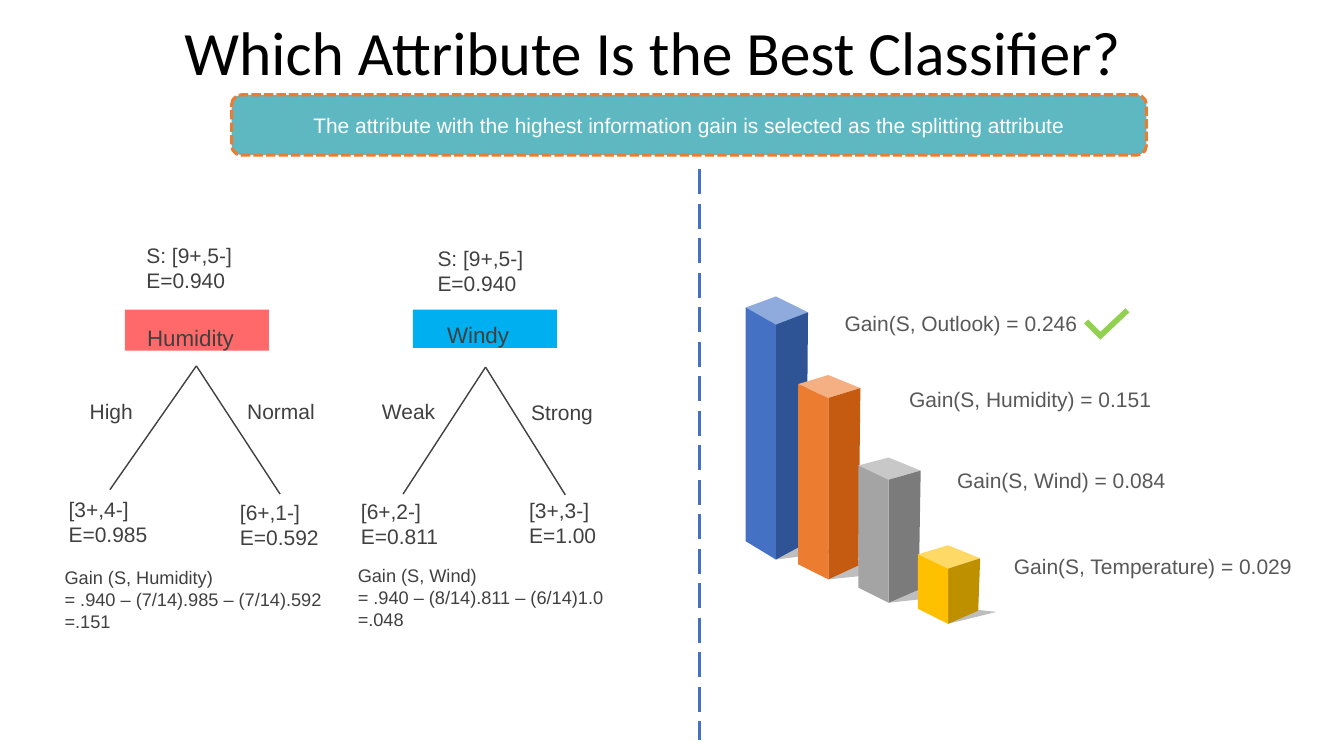
from lxml import etree
from pptx import Presentation
from pptx import util as u
from pptx.dml.color import RGBColor
from pptx.enum import dml, shapes, text
from pptx.oxml.ns import qn

BLACK = RGBColor(0, 0, 0)
WHITE = RGBColor(255, 255, 255)
INK = RGBColor(0x40, 0x40, 0x40)
GRAY = RGBColor(0x58, 0x58, 0x58)
BLUE = RGBColor(0x44, 0x71, 0xC4)
ORANGE = RGBColor(0xEC, 0x7C, 0x30)
TEAL = RGBColor(0x5E, 0xB8, 0xC2)
GREEN = RGBColor(0x92, 0xD0, 0x50)
SHADOW = RGBColor(0xBE, 0xBE, 0xBE)
RED = RGBColor(0xFF, 0x69, 0x69)
SKY = RGBColor(0x00, 0xAF, 0xEF)

TITLE = "Which Attribute Is the Best Classifier?"
BANNER = "The attribute with the highest information gain is selected as the splitting attribute"

TREES = [
    {
        "node": ("Humidity", (3.15, 7.8, 3.63, 1.04), RED, (0.56, 0.36)),
        "apex": (4.95, 9.22),
        "ends": [(2.77, 12.34), (7.06, 12.45)],
        "notes": [
            ("S: [9+,5-]\nE=0.940", (3.51, 6.02, 2.51, 1.35)),
            ("High", (2.08, 9.96, 1.52, 0.71)),
            ("Normal", (6.05, 9.96, 2.26, 0.71)),
            ("[3+,4-]\nE=0.985", (1.55, 12.42, 2.34, 1.35)),
            ("[6+,1-]\nE=0.592", (5.87, 12.5, 2.34, 1.35)),
        ],
        "formula": ("Gain (S, Humidity)\n= .940 – (7/14).985 – (7/14).592\n=.151",
                    (1.45, 14.2, 7.19, 1.75)),
    },
    {
        "node": ("Windy", (10.41, 7.8, 3.63, 0.97), SKY, (0.86, 0.3)),
        "apex": (12.24, 9.25),
        "ends": [(10.16, 12.45), (14.25, 12.47)],
        "notes": [
            ("S: [9+,5-]\nE=0.940", (10.85, 6.1, 2.54, 1.35)),
            ("Weak", (9.45, 9.96, 1.75, 0.71)),
            ("Strong", (13.21, 9.98, 2.01, 0.71)),
            ("[6+,2-]\nE=0.811", (8.92, 12.47, 2.34, 1.35)),
            ("[3+,3-]\nE=1.00", (13.16, 12.45, 2.03, 1.35)),
        ],
        "formula": ("Gain (S, Wind)\n= .940 – (8/14).811 – (6/14)1.0\n=.048",
                    (8.84, 14.15, 6.91, 1.73)),
    },
]

GAINS = [
    ("Gain(S, Outlook) = 0.246", (21.26, 7.8, 5.92, 0.66)),
    ("Gain(S, Humidity) = 0.151", (22.89, 9.7, 6.17, 0.66)),
    ("Gain(S, Wind) = 0.084", (24.1, 11.76, 5.31, 0.66)),
    ("Gain(S, Temperature) = 0.029", (25.53, 13.92, 7.06, 0.66)),
]

# front x; top face y: back, left, front, right; base y: left, front, right;
BARS = [
    (19.56, (7.47, 7.75, 8.18, 7.87), (13.64, 14.1, 13.69), 13.49, (21.01, 13.92),
     (RGBColor(0x8F, 0xAA, 0xDC), RGBColor(0x2E, 0x54, 0x96), BLUE)),
    (20.88, (9.45, 9.68, 10.03, 9.78), (14.22, 14.6, 14.25), 14.12, (22.35, 14.45),
     (RGBColor(0xF4, 0xB0, 0x83), RGBColor(0xC5, 0x5A, 0x11), ORANGE)),
    (22.4, (11.53, 11.73, 12.09, 11.86), (14.81, 15.19, 14.86), 14.68, (23.77, 15.04),
     (RGBColor(0xC8, 0xC8, 0xC8), RGBColor(0x7B, 0x7B, 0x7B), RGBColor(0xA4, 0xA4, 0xA4))),
    (23.9, (13.74, 13.97, 14.33, 14.07), (15.34, 15.72, 15.39), 15.37, (25.12, 15.42),
     (RGBColor(0xFF, 0xD9, 0x66), RGBColor(0xBE, 0x90, 0x00), RGBColor(0xFF, 0xC0, 0x00))),
]
BAR_LEFT, BAR_RIGHT, BASE_RIGHT = 0.76, 0.81, 0.76

CHECK = [(27.74, 8.56), (27.33, 8.15), (27.43, 8.05),
         (27.74, 8.36), (28.37, 7.77), (28.47, 7.87)]

prs = Presentation()
prs.slide_width, prs.slide_height = u.Cm(33.88), u.Cm(19.05)
s = prs.slides.add_slide(prs.slide_layouts[6])


def write(content, box=None, sp=None, size=15, font="Arial", color=INK,
          inset=(0, 0), align=text.PP_ALIGN.LEFT, anchor=text.MSO_ANCHOR.TOP):
    sp = sp or s.shapes.add_textbox(*map(u.Cm, box))
    tf = sp.text_frame
    tf.word_wrap = False
    tf.vertical_anchor = anchor
    tf.margin_left, tf.margin_top = map(u.Cm, inset)
    tf.margin_right = tf.margin_bottom = 0
    for i, line in enumerate(content.split("\n")):
        p = tf.add_paragraph() if i else tf.paragraphs[0]
        p.alignment = align
        r = p.add_run()
        r.text = line
        r.font.size, r.font.name = u.Pt(size), font
        r.font.color.rgb = color


def paint(sp, fill):
    sp.shadow.inherit = False
    sp.fill.solid()
    sp.fill.fore_color.rgb = fill
    sp.line.fill.background()
    return sp


def block(kind, box, fill):
    return paint(s.shapes.add_shape(kind, *map(u.Cm, box)), fill)


def polygon(points, fill):
    start, *rest = [(u.Cm(x), u.Cm(y)) for x, y in points]
    outline = s.shapes.build_freeform(*start)
    outline.add_line_segments(rest, close=True)
    paint(outline.convert_to_shape(), fill)


def line(start, end, color, width):
    c = s.shapes.add_connector(shapes.MSO_CONNECTOR.STRAIGHT, *map(u.Cm, start + end))
    c.line.color.rgb, c.line.width = color, u.Pt(width)
    etree.SubElement(c._element.spPr, qn("a:effectLst"))
    return c


def bar(x, top, base, shadow_y, tip, colors):
    back, left, front, right = zip((x, x - BAR_LEFT, x, x + BAR_RIGHT), top)
    base_left, base_front, base_right = zip((x - BAR_LEFT, x, x + BASE_RIGHT), base)
    polygon([(x + BASE_RIGHT, shadow_y), base_front, tip], SHADOW)
    faces = [(back, left, front, right),
             (right, front, base_front, base_right),
             (left, base_left, base_front, front)]
    for face, color in zip(faces, colors):
        polygon(face, color)


write(TITLE, (4.62, 0.33, 27.97, 1.9), size=44, font="Calibri", color=BLACK,
      inset=(0.03, 0.03), anchor=text.MSO_ANCHOR.MIDDLE)
banner = block(shapes.MSO_SHAPE.ROUNDED_RECTANGLE, (5.84, 2.39, 23.06, 1.52), TEAL)
banner.adjustments[0] = 0.16
banner.line.color.rgb, banner.line.width = ORANGE, u.Pt(2.25)
banner.line.dash_style = dml.MSO_LINE.SQUARE_DOT
write(BANNER, sp=banner, color=WHITE, align=text.PP_ALIGN.CENTER,
      anchor=text.MSO_ANCHOR.MIDDLE)

divider = line((17.63, 4.27), (17.63, 18.64), BLUE, 2.25)
divider.line.dash_style = dml.MSO_LINE.LONG_DASH

for tree in TREES:
    name, box, fill, inset = tree["node"]
    write(name, sp=block(shapes.MSO_SHAPE.RECTANGLE, box, fill), size=16, inset=inset)
    for end in tree["ends"]:
        line(tree["apex"], end, INK, 1)
    for note, box in tree["notes"]:
        write(note, box, inset=(0.18, 0.08))
    write(*tree["formula"], size=13, inset=(0.18, 0.08))

for item in BARS:
    bar(*item)
for label, box in GAINS:
    write(label, box, color=GRAY, inset=(0.03, 0.03))
polygon(CHECK, GREEN)

prs.save("out.pptx")
